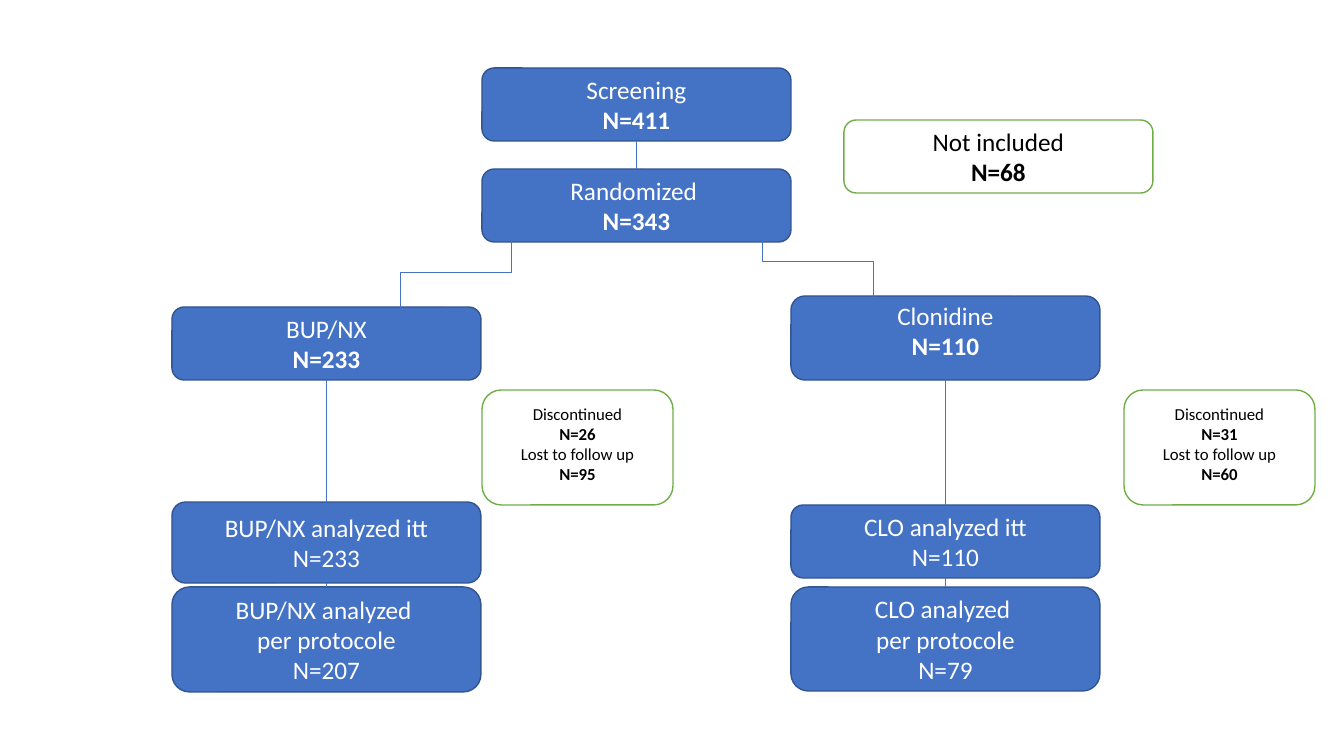
"""Build a one-slide patient flow chart for a randomized trial."""
from dataclasses import dataclass

from lxml import etree
from pptx import Presentation
from pptx import util as u
from pptx.dml.color import RGBColor
from pptx.enum import shapes, text
from pptx.oxml.ns import qn


@dataclass(frozen=True)
class Theme:
    font: str = "Calibri"
    blue: str = "4472C4"
    navy: str = "325491"
    green: str = "70AD47"
    white: str = "FFFFFF"
    black: str = "000000"
    body: int = 18
    small: int = 12
    outline: float = 1
    link: float = 0.5


THEME = Theme()
EMU_PER_PX = 914400 / 100.8
SLIDE = (1344, 756)
LEFT, CENTRE, RIGHT = 172, 482, 791
WIDE, NARROW, HEIGHT = 309, 191, 73

STAGES = {
    "randomized": ((CENTRE, 169, WIDE, HEIGHT), ["Randomized ", "N=343"], {}),
    "screening": ((CENTRE, 68, WIDE, HEIGHT), ["Screening", "N=411"], {}),
    "bup": ((LEFT, 307, WIDE, HEIGHT), ["BUP/NX", "N=233"], {}),
    "clo": ((RIGHT, 296, WIDE, 84), ["Clonidine", "N=110"], {"top": 0}),
    "bup itt": ((LEFT, 502, WIDE, 81), ["BUP/NX analyzed itt", "N=233"], {"bold": False}),
    "bup protocol": ((LEFT, 587, WIDE, 105),
                     ["BUP/NX analyzed ", "per protocole", "N=207"], {"bold": False}),
    "clo itt": ((RIGHT, 505, WIDE, HEIGHT), ["CLO analyzed itt", "N=110"], {"bold": False}),
    "clo protocol": ((RIGHT, 587, WIDE, 104),
                     ["CLO analyzed ", "per protocole", "N=79"], {"bold": False}),
}
DROPOUT = {"size": THEME.small, "top": 8}
EXITS = [
    ((844, 120, WIDE, HEIGHT), ["Not included", "N=68"], {}),
    ((482, 390, NARROW, 115), ["Discontinued", "N=26", "Lost to follow up", "N=95"], DROPOUT),
    ((1124, 390, NARROW, 115), ["Discontinued", "N=31", "Lost to follow up", "N=60"], DROPOUT),
]
LINKS = [("screening", "randomized"), ("bup", "bup itt"), ("clo", "clo itt"),
         ("bup itt", "bup protocol"), ("clo itt", "clo protocol")]
BRANCHES = [((762, 205), (873, 317)), ((511, 216), (400, 329))]


def px(length):
    return u.Emu(round(length * EMU_PER_PX))


def rgb(value):
    return RGBColor.from_string(value)


def write(box, lines, color, size=THEME.body, bold=True, top=None):
    """Fill a box with centred lines, with counts in bold if asked."""
    frame = box.text_frame
    frame.word_wrap = True
    frame.vertical_anchor = text.MSO_ANCHOR.MIDDLE
    if top is not None:
        frame.vertical_anchor = text.MSO_ANCHOR.TOP
        frame.margin_top = px(top)
    for index, line in enumerate(lines):
        para = frame.add_paragraph() if index else frame.paragraphs[0]
        para.alignment = text.PP_ALIGN.CENTER
        span = para.add_run()
        span.text = line
        span.font.name = THEME.font
        span.font.size = u.Pt(size)
        span.font.bold = bold and line.startswith("N=")
        span.font.color.rgb = rgb(color)


def add_box(page, area, fill, line):
    box = page.shapes.add_shape(shapes.MSO_SHAPE.ROUNDED_RECTANGLE, *map(px, area))
    box.shadow.inherit = False
    box.fill.solid()
    box.fill.fore_color.rgb = rgb(fill)
    box.line.color.rgb = rgb(line)
    box.line.width = u.Pt(THEME.outline)
    return box


def add_link(page, kind, start, end):
    link = page.shapes.add_connector(kind, *map(px, start + end))
    link.line.color.rgb = rgb(THEME.blue)
    link.line.width = u.Pt(THEME.link)
    etree.SubElement(link._element.spPr, qn("a:effectLst"))
    return link


def add_drop(page, upper, lower):
    """Join the bottom of one stage to the top of the next."""
    left, top, width, height = STAGES[upper][0]
    middle = left + width / 2
    add_link(page, shapes.MSO_CONNECTOR.STRAIGHT,
             (middle, top + height), (middle, STAGES[lower][0][1]))


def add_branch(page, start, end):
    """Turn an elbow a quarter so that it leaves and arrives vertically."""
    (x1, y1), (x2, y2) = start, end
    side = 1 if x2 < x1 else -1
    run, rise = side * (y2 - y1) / 2, abs(x2 - x1) / 2
    x, y = (x1 + x2) / 2, (y1 + y2) / 2
    link = add_link(page, shapes.MSO_CONNECTOR.ELBOW,
                    (x - run, y - rise), (x + run, y + rise))
    link._element.spPr.find(qn("a:xfrm")).set("rot", str(side * 90 % 360 * 60000))


def main():
    deck = Presentation()
    deck.slide_width, deck.slide_height = map(px, SLIDE)
    page = deck.slides.add_slide(deck.slide_layouts[6])
    for area, lines, style in STAGES.values():
        write(add_box(page, area, THEME.blue, THEME.navy), lines, THEME.white, **style)
    for area, lines, style in EXITS:
        write(add_box(page, area, THEME.white, THEME.green), lines, THEME.black, **style)
    for upper, lower in LINKS:
        add_drop(page, upper, lower)
    for start, end in BRANCHES:
        add_branch(page, start, end)
    deck.save("out.pptx")


if __name__ == "__main__":
    main()
